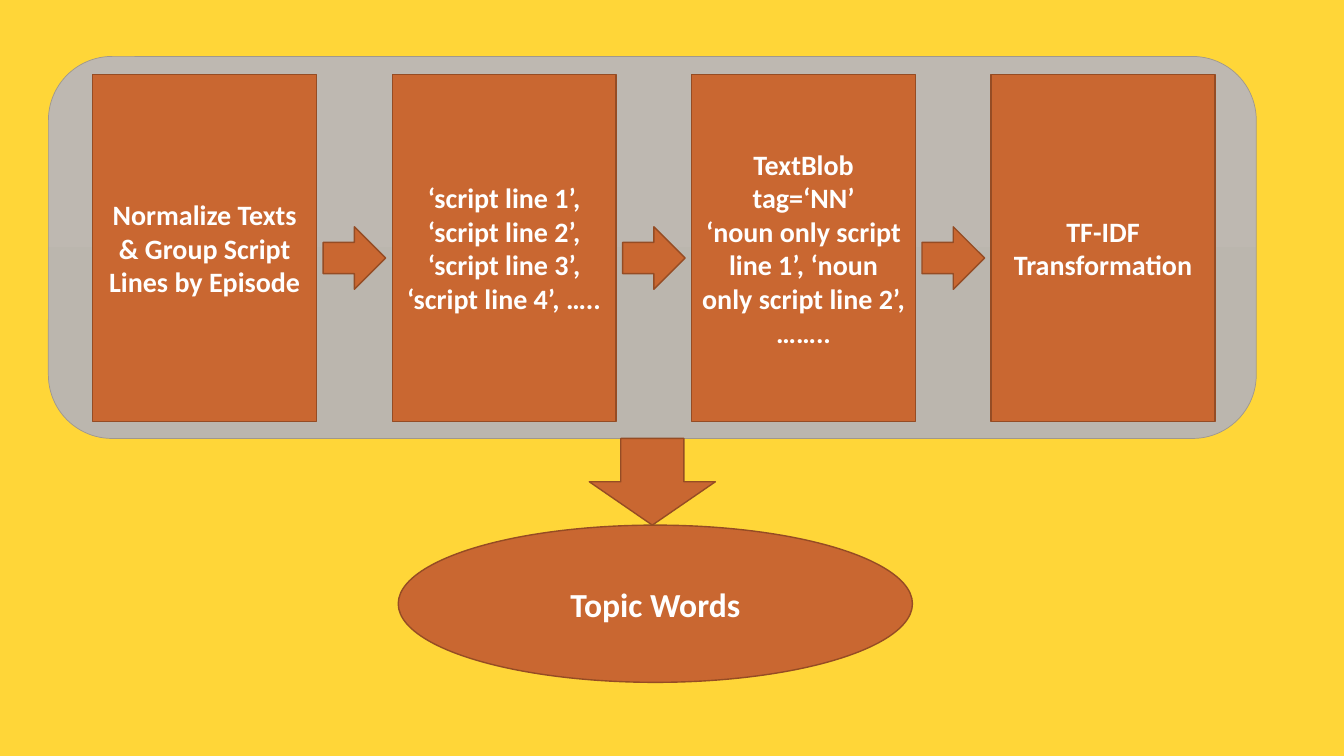
from pptx import Presentation
from pptx.dml.color import RGBColor
from pptx.enum.shapes import MSO_SHAPE as Kind
from pptx.enum.text import MSO_ANCHOR as Anchor, PP_ALIGN as Align
from pptx.util import Inches, Pt

STEPS = [
    ["Normalize Texts & Group Script Lines by Episode"],
    ["‘script line 1’, ‘script line 2’, ‘script line 3’, ‘script line 4’, ….."],
    ["TextBlob tag=‘NN’",
     "‘noun only script line 1’, ‘noun only script line 2’, …….."],
    ["TF-IDF Transformation"],
]
RESULT = ["Topic Words"]

YELLOW = RGBColor(0xFF, 0xD6, 0x38)
ORANGE = RGBColor(0xC9, 0x67, 0x31)
BROWN = RGBColor(0x95, 0x4C, 0x24)
WHITE = RGBColor(0xFF, 0xFF, 0xFF)
GREY_TOP = RGBColor(0xBE, 0xB8, 0xB1)
GREY_END = RGBColor(0xBB, 0xB6, 0xAE)
GREY_LINE = RGBColor(0xA0, 0x98, 0x8C)

# Inches: left, top, width, height
PANEL = (0.48, 0.56, 11.98, 3.79)
OVAL = (3.95, 5.21, 5.1, 1.56)
LEFT, TOP, WIDE, HIGH = 0.92, 0.74, 2.22, 3.44
PITCH = 2.97
ARROW, ARROW_TOP = 0.62, 2.25
DOWN = 1.25


def add_part(slide, kind, place, line=BROWN, weight=1):
    part = slide.shapes.add_shape(kind, *map(Inches, place))
    part.shadow.inherit = False
    part.fill.solid()
    part.fill.fore_color.rgb = ORANGE
    part.line.color.rgb = line
    part.line.width = Pt(weight)
    return part


def write(part, lines, size):
    frame = part.text_frame
    frame.word_wrap = True
    frame.vertical_anchor = Anchor.MIDDLE
    frame.text = "\n".join(lines)
    for para in frame.paragraphs:
        para.alignment = Align.CENTER
        font = para.font
        font.name, font.size, font.bold = "Calibri", Pt(size), True
        font.color.rgb = WHITE


def main():
    deck = Presentation()
    deck.slide_width, deck.slide_height = Inches(13.33), Inches(7.5)
    slide = deck.slides.add_slide(deck.slide_layouts[6])
    slide.background.fill.solid()
    slide.background.fill.fore_color.rgb = YELLOW

    panel = add_part(slide, Kind.ROUNDED_RECTANGLE, PANEL, GREY_LINE, 0.5)
    panel.fill.gradient()
    panel.fill.gradient_angle = 270
    for stop, color in zip(panel.fill.gradient_stops, (GREY_TOP, GREY_END)):
        stop.color.rgb = color

    gap = PITCH - WIDE
    for i, lines in enumerate(STEPS):
        x = LEFT + i * PITCH
        write(add_part(slide, Kind.RECTANGLE, (x, TOP, WIDE, HIGH)), lines, 20)
        if i < len(STEPS) - 1:
            start = x + WIDE + (gap - ARROW) / 2
            add_part(slide, Kind.RIGHT_ARROW, (start, ARROW_TOP, ARROW, ARROW))

    write(add_part(slide, Kind.OVAL, OVAL), RESULT, 24)
    base = PANEL[1] + PANEL[3]
    mid = PANEL[0] + PANEL[2] / 2
    add_part(slide, Kind.DOWN_ARROW, (mid - DOWN / 2, base, DOWN, OVAL[1] - base))
    deck.save("out.pptx")


if __name__ == "__main__":
    main()
